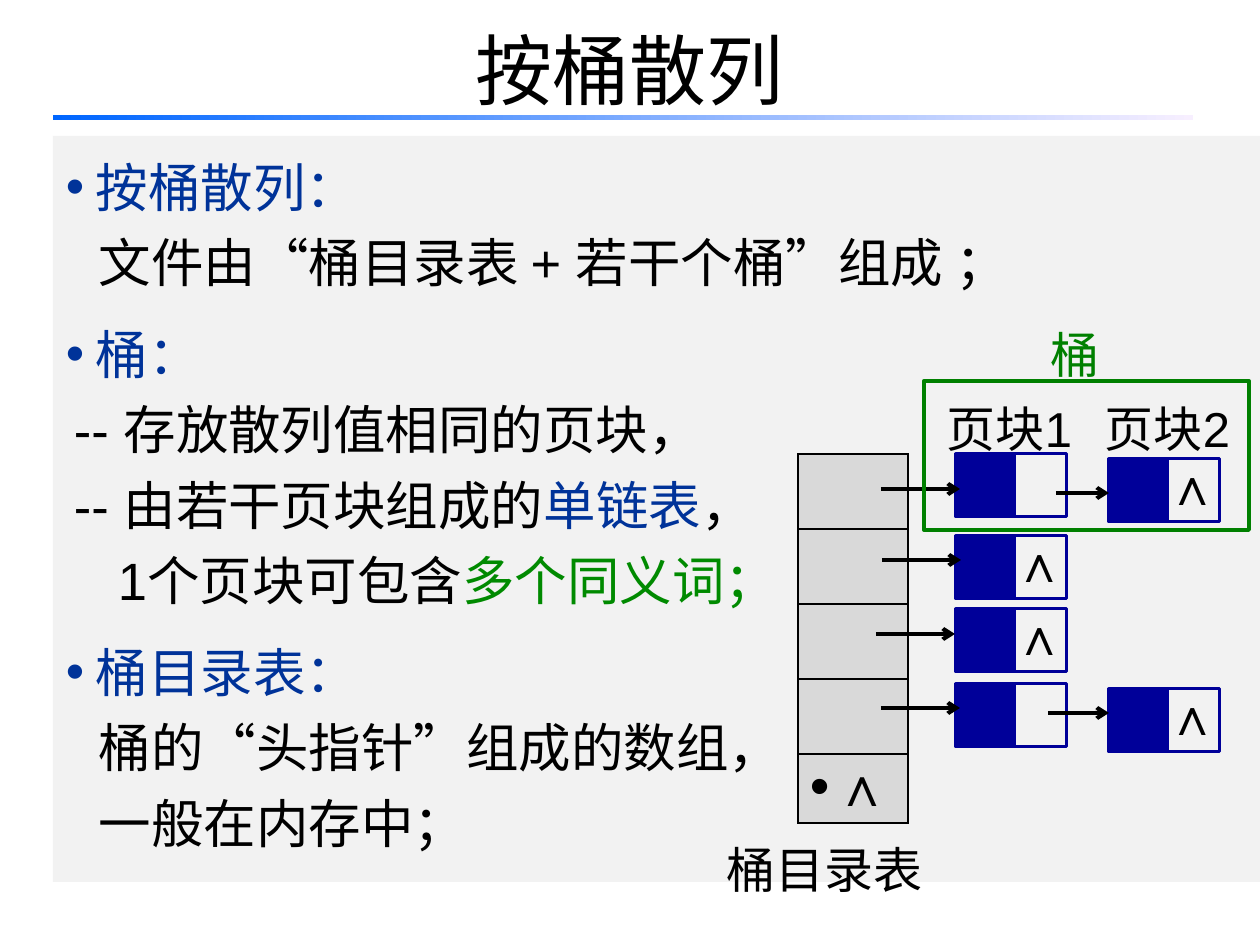
from dataclasses import dataclass

from lxml import etree
from pptx import Presentation, util as u
from pptx.dml.color import RGBColor
from pptx.enum import shapes, text
from pptx.oxml import ns

SCALE = 914400 // 126


@dataclass(frozen=True)
class Theme:
    ink: str = "000000"
    accent: str = "003399"
    green: str = "008A00"
    frame: str = "008000"
    node: str = "000099"
    panel: str = "F2F2F2"
    cell: str = "D9D9D9"
    rule: tuple = ("0066FF", "F7EFFF")
    latin: str = "Arial"
    cjk: str = "Noto Sans CJK SC"
    title: int = 44
    body: int = 30
    label: int = 28
    slot: int = 32


T = Theme()
TITLE = "按桶散列"
BODY = [
    ("•", 30, 0, [("按桶散列：", T.accent)]),
    ("", 33, 0, [("文件由“桶目录表 + 若干个桶”组成 ；", T.ink)]),
    ("•", 30, 9, [("桶：", T.accent)]),
    ("", 8, 0, [("-- 存放散列值相同的页块，", T.ink)]),
    ("", 8, 0, [("-- 由若干页块组成的", T.ink), ("单链表", T.accent), ("，", T.ink)]),
    ("", 52, 0, [("1个页块可包含", T.ink), ("多个同义词；", T.green)]),
    ("•", 30, 9, [("桶目录表：", T.accent)]),
    ("", 33, 0, [("桶的“头指针”组成的数组，", T.ink)]),
    ("", 33, 0, [("一般在内存中；", T.ink)]),
]
NULL = "∧"
SLOTS = ["", "", "", "", NULL]
NODES = [
    (956, 454, ""), (1109, 459, NULL),
    (956, 536, NULL),
    (956, 609, NULL),
    (956, 684, ""), (1109, 689, NULL),
]
ARROWS = [
    (881, 960, 489), (882, 961, 560), (876, 955, 634), (881, 960, 708),
    (1056, 1109, 493), (1048, 1109, 713),
]
LABELS = [
    ("桶目录表", 727, 839, T.ink),
    ("页块1", 947, 398, T.ink),
    ("页块2", 1105, 398, T.ink),
    ("桶", 1051, 325, T.frame),
]


def px(n):
    return u.Emu(n * SCALE)


def rgb(color):
    return RGBColor.from_string(color)


def sub(parent, tag, **attrs):
    return etree.SubElement(parent, ns.qn(tag), **attrs)


def style(r, size, color, latin=T.latin, bold=False):
    r.font.size = u.Pt(size)
    r.font.bold = bold
    r.font.color.rgb = rgb(color)
    r.font.name = latin
    sub(r.font._element, "a:ea", typeface=T.cjk)


def indent(p, left, bullet=""):
    pPr = p._p.get_or_add_pPr()
    pPr.set("marL", str(px(left)))
    pPr.set("indent", str(px(-left if bullet else 0)))
    if bullet:
        sub(pPr, "a:buFont", typeface=T.latin)
        sub(pPr, "a:buChar", char=bullet)


def add_rect(s, x, y, w, h, fill=None, line=None, width=1.75):
    sp = s.shapes.add_shape(shapes.MSO_SHAPE.RECTANGLE, px(x), px(y), px(w), px(h))
    sp.shadow.inherit = False
    if fill:
        sp.fill.solid()
        sp.fill.fore_color.rgb = rgb(fill)
    else:
        sp.fill.background()
    if line:
        sp.line.color.rgb = rgb(line)
        sp.line.width = u.Pt(width)
    else:
        sp.line.fill.background()
    return sp


def set_margins(tf, left, top, right=0, bottom=0):
    tf.margin_left, tf.margin_top = px(left), px(top)
    tf.margin_right, tf.margin_bottom = px(right), px(bottom)


def add_title(s):
    sp = s.shapes.title
    sp.left, sp.top, sp.width, sp.height = px(63), px(-10), px(1134), px(158)
    tf = sp.text_frame
    tf.text = TITLE
    tf.vertical_anchor = text.MSO_ANCHOR.MIDDLE
    p = tf.paragraphs[0]
    p.alignment = text.PP_ALIGN.CENTER
    style(p.runs[0], T.title, T.ink, T.cjk)
    rule = add_rect(s, 53, 115, 1140, 5)
    rule.fill.gradient()
    rule.fill.gradient_angle = 0
    for stop, color in zip(rule.fill.gradient_stops, T.rule):
        stop.color.rgb = rgb(color)


def add_body(s):
    tf = add_rect(s, 53, 136, 1207, 746, T.panel).text_frame
    tf.word_wrap = True
    tf.vertical_anchor = text.MSO_ANCHOR.TOP
    set_margins(tf, 13, 6)
    for i, (bullet, left, before, runs) in enumerate(BODY):
        p = tf.add_paragraph() if i else tf.paragraphs[0]
        p.alignment = text.PP_ALIGN.LEFT
        p.line_spacing = 1.2
        if before:
            p.space_before = u.Pt(before)
        indent(p, left, bullet)
        for words, color in runs:
            r = p.add_run()
            r.text = words
            style(r, T.body, color)


def add_directory(s):
    table = s.shapes.add_table(len(SLOTS), 1, px(798), px(454), px(110), px(371)).table
    table.first_row = table.horz_banding = False
    for i, value in enumerate(SLOTS):
        table.rows[i].height = px(69 if value else 75)
        cell = table.cell(i, 0)
        set_margins(cell, 12, 2)
        cell.vertical_anchor = text.MSO_ANCHOR.MIDDLE
        tcPr = cell._tc.get_or_add_tcPr()
        for side in ("a:lnL", "a:lnR", "a:lnT", "a:lnB"):
            ln = sub(tcPr, side, w=str(u.Pt(1)))
            sub(sub(ln, "a:solidFill"), "a:srgbClr", val=T.ink)
        cell.fill.solid()
        cell.fill.fore_color.rgb = rgb(T.cell)
        if value:
            cell.text_frame.text = value
            p = cell.text_frame.paragraphs[0]
            p.line_spacing = 0.9
            indent(p, 25, "•")
            style(p.runs[0], T.slot, T.ink, bold=True)


def add_node(s, x, y, value):
    pointer = add_rect(s, x + 42, y, 69, 63, line=T.node)
    if value:
        tf = pointer.text_frame
        tf.text = value
        tf.word_wrap = False
        tf.vertical_anchor = text.MSO_ANCHOR.MIDDLE
        set_margins(tf, 15, 0)
        p = tf.paragraphs[0]
        p.alignment = text.PP_ALIGN.CENTER
        p.line_spacing = 0.8
        style(p.runs[0], T.body, T.ink, bold=True)
    add_rect(s, x, y, 59, 63, T.node, T.node)


def add_arrow(s, x1, x2, y):
    c = s.shapes.add_connector(shapes.MSO_CONNECTOR.STRAIGHT, px(x1), px(y), px(x2), px(y))
    c.line.color.rgb = rgb(T.ink)
    c.line.width = u.Pt(2.25)
    sub(c.line._get_or_add_ln(), "a:tailEnd", type="arrow")
    sub(c._element.spPr, "a:effectLst")


def add_label(s, words, x, y, color):
    tf = s.shapes.add_textbox(px(x), px(y), px(49 * len(words) + 6), px(72)).text_frame
    tf.text = words
    tf.word_wrap = True
    set_margins(tf, 0, 0)
    style(tf.paragraphs[0].runs[0], T.label, color)


def main():
    prs = Presentation()
    prs.slide_width, prs.slide_height = px(1260), px(945)
    s = prs.slides.add_slide(prs.slide_layouts[5])
    add_body(s)
    add_title(s)
    add_directory(s)
    for node in NODES:
        add_node(s, *node)
    for arrow in ARROWS:
        add_arrow(s, *arrow)
    for label in LABELS:
        add_label(s, *label)
    add_rect(s, 924, 381, 325, 149, line=T.frame, width=2.25)
    prs.save("out.pptx")


if __name__ == "__main__":
    main()
